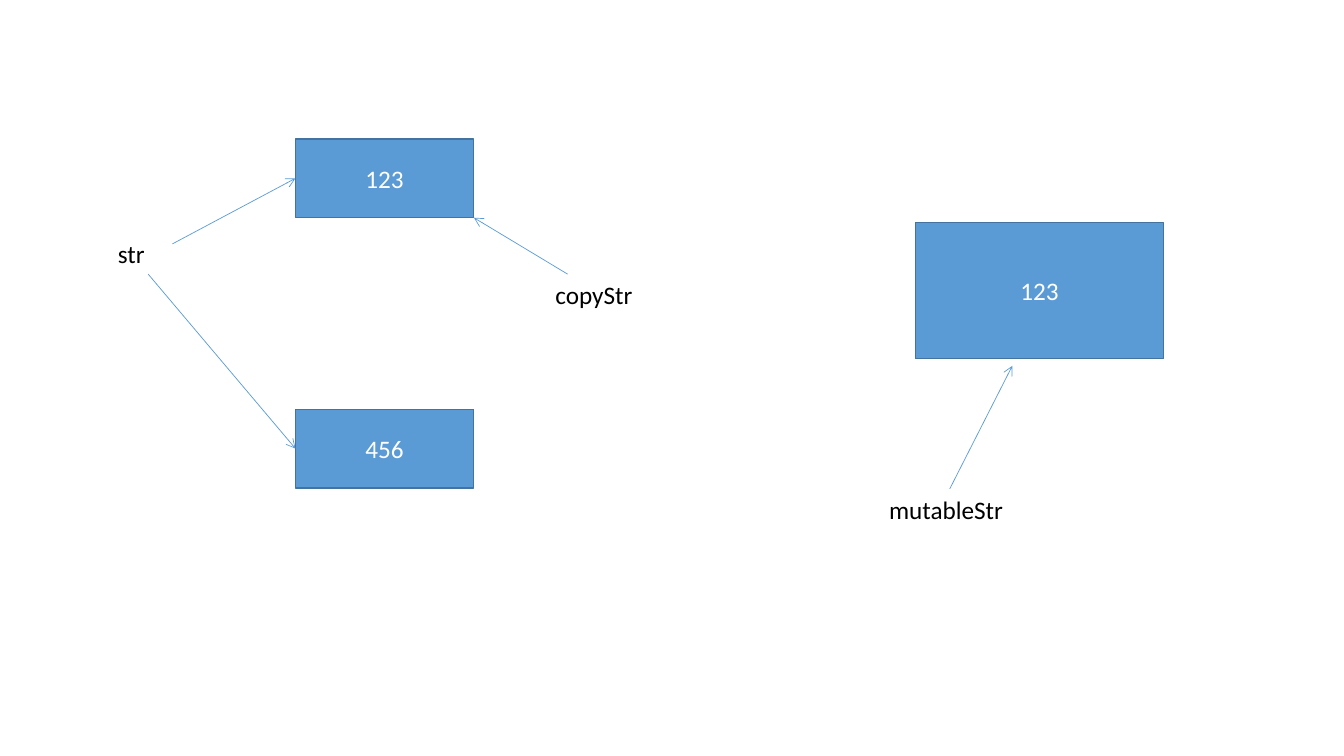
import dataclasses

import pptx
import pptx.dml.color
import pptx.enum.shapes
import pptx.enum.text
import pptx.oxml
import pptx.oxml.ns
import pptx.util
from pptx.util import Inches


@dataclasses.dataclass(frozen=True)
class Theme:
    font: str = "Calibri"
    text_size: float = 18
    box_fill: str = "5B9BD5"
    box_border: str = "43739E"
    box_text: str = "FFFFFF"
    label_text: str = "000000"
    arrow: str = "5B9BD5"
    border_width: float = 1
    arrow_width: float = 0.5


def color(value):
    return pptx.dml.color.RGBColor.from_string(value)


class Diagram:
    """Draws memory boxes, variable names and reference arrows on one page."""

    def __init__(self, page, theme):
        self.page = page
        self.theme = theme

    def add_text(self, shape, text, text_color, alignment, frame_format):
        frame = shape.text_frame
        for name, value in frame_format.items():
            setattr(frame, name, value)
        para = frame.paragraphs[0]
        para.alignment = alignment
        span = para.add_run()
        span.text = text
        font_format = {"name": self.theme.font,
                       "size": pptx.util.Pt(self.theme.text_size)}
        for name, value in font_format.items():
            setattr(span.font, name, value)
        span.font.color.rgb = color(text_color)

    def stroke(self, line, line_color, width):
        line.color.rgb = color(line_color)
        line.width = pptx.util.Pt(width)

    def box(self, text, left, top, width, height):
        box = self.page.shapes.add_shape(
            pptx.enum.shapes.MSO_SHAPE.RECTANGLE,
            Inches(left), Inches(top), Inches(width), Inches(height))
        box.shadow.inherit = False
        box.fill.solid()
        box.fill.fore_color.rgb = color(self.theme.box_fill)
        self.stroke(box.line, self.theme.box_border, self.theme.border_width)
        self.add_text(box, text, self.theme.box_text,
                      pptx.enum.text.PP_ALIGN.CENTER,
                      {"word_wrap": True,
                       "vertical_anchor": pptx.enum.text.MSO_ANCHOR.MIDDLE})

    def label(self, text, left, top, width, height=0.4):
        label = self.page.shapes.add_textbox(
            Inches(left), Inches(top), Inches(width), Inches(height))
        self.add_text(label, text, self.theme.label_text,
                      pptx.enum.text.PP_ALIGN.LEFT,
                      {"word_wrap": True,
                       "auto_size": pptx.enum.text.MSO_AUTO_SIZE.SHAPE_TO_FIT_TEXT})

    def arrow(self, start, end):
        arrow = self.page.shapes.add_connector(
            pptx.enum.shapes.MSO_CONNECTOR.STRAIGHT,
            *(Inches(length) for length in (*start, *end)))
        self.stroke(arrow.line, self.theme.arrow, self.theme.arrow_width)
        # Open arrowhead at the end, and no shadow
        namespace = pptx.oxml.ns.nsdecls("a")
        properties = arrow._element.spPr
        properties.get_or_add_ln().append(
            pptx.oxml.parse_xml(f'<a:tailEnd {namespace} type="arrow"/>'))
        properties.append(pptx.oxml.parse_xml(f"<a:effectLst {namespace}/>"))


deck = pptx.Presentation()
deck.slide_width, deck.slide_height = Inches(13.33), Inches(7.5)
diagram = Diagram(deck.slides.add_slide(deck.slide_layouts[6]), Theme())

# Left: str and copyStr refer to equally sized boxes
box_left, box_width, box_height = 2.93, 1.77, 0.78
first_top, second_top = 1.38, 4.06
for value, top in (("123", first_top), ("456", second_top)):
    diagram.box(value, box_left, top, box_width, box_height)
diagram.label("str", 1.07, 2.32, 0.81)
diagram.label("copyStr", 5.41, 2.72, 1.08)
for start, top in (((1.71, 2.42), first_top), ((1.47, 2.72), second_top)):
    diagram.arrow(start, (box_left, top + box_height / 2))
diagram.arrow((5.63, 2.72), (box_left + box_width, first_top + box_height))

# Right: mutableStr refers to its own box
diagram.box("123", 9.08, 2.21, 2.46, 1.35)
diagram.label("mutableStr", 8.72, 4.85, 1.66)
diagram.arrow((9.42, 4.85), (10.04, 3.63))

deck.save("out.pptx")
